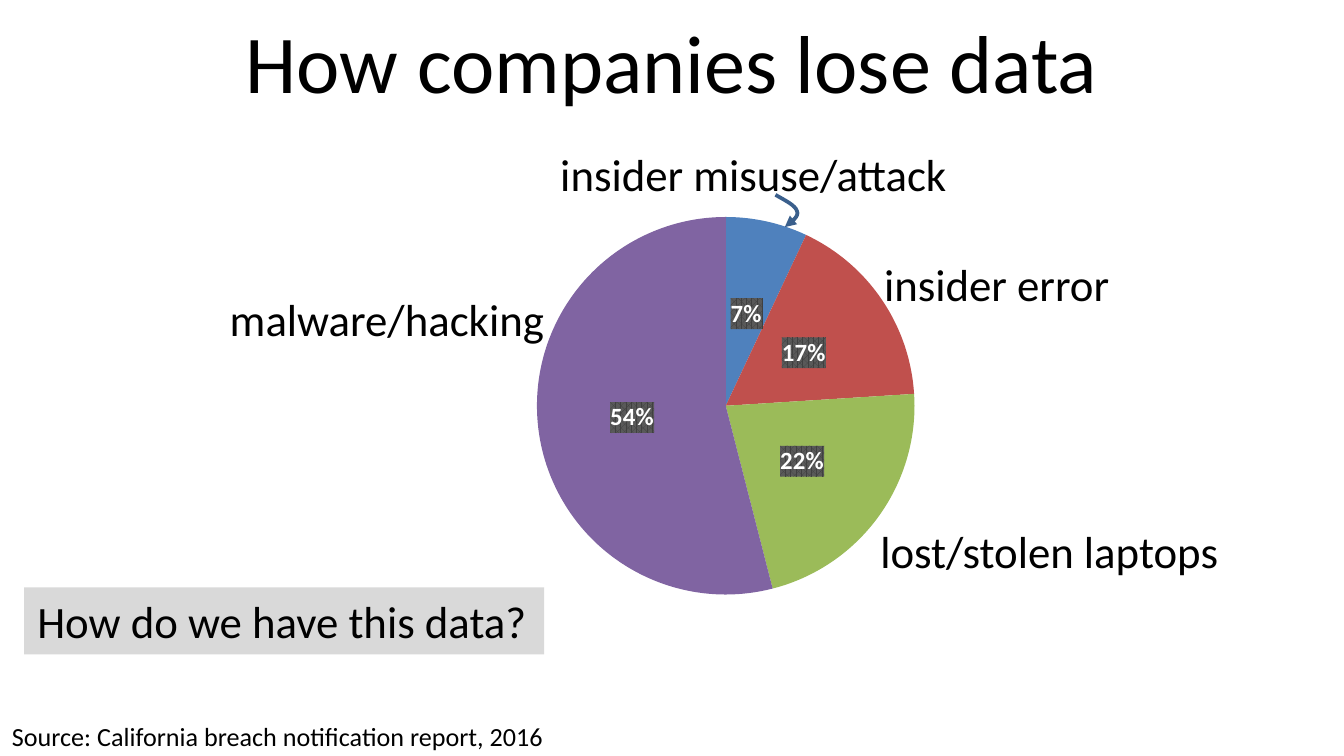
"""Build the slide on how companies lose data, with its pie chart and labels."""
import pptx
import pptx.chart.data
import pptx.dml.color
import pptx.enum.chart
import pptx.enum.text
import pptx.oxml
import pptx.oxml.ns
import pptx.util

Inches = pptx.util.Inches
Pt = pptx.util.Pt
RGBColor = pptx.dml.color.RGBColor

BLACK = RGBColor(0x00, 0x00, 0x00)
WHITE = RGBColor(0xFF, 0xFF, 0xFF)
GREY = RGBColor(0xD9, 0xD9, 0xD9)
NAVY = RGBColor(0x3A, 0x5F, 0x8C)
BLUE = RGBColor(0x4F, 0x81, 0xBD)
RED = RGBColor(0xC0, 0x50, 0x4D)
GREEN = RGBColor(0x9B, 0xBB, 0x59)
PURPLE = RGBColor(0x80, 0x64, 0xA2)


def style(font, size, color=BLACK, bold=False):
    """Give a font its face, size, weight and colour."""
    form = {"name": "Calibri", "size": Pt(size), "bold": bold}
    for key, val in form.items():
        setattr(font, key, val)
    font.color.rgb = color


def parse(tag, body):
    """Make an XML element from its tag and inner markup."""
    names = pptx.oxml.ns.nsdecls("a", "c")
    return pptx.oxml.parse_xml(f"<{tag} {names}>{body}</{tag}>")


deck = pptx.Presentation()
deck.slide_width = Inches(10)
deck.slide_height = Inches(10) * 9 // 16
slide = deck.slides.add_slide(deck.slide_layouts[5])
shapes = slide.shapes

title = shapes.title
place = {"left": 0.5, "top": -0.02, "width": 9, "height": 0.94}
for key, val in place.items():
    setattr(title, key, Inches(val))
frame = title.text_frame
frame.text = "How companies lose data"
frame.vertical_anchor = pptx.enum.text.MSO_ANCHOR.MIDDLE
frame.paragraphs[0].alignment = pptx.enum.text.PP_ALIGN.CENTER
style(frame.paragraphs[0].runs[0].font, 44)

notes = [
    ("Source: California breach notification report, 2016",
     -0.01, 5.31, 4.2, 0.34, 14, None, True),
    ("lost/stolen laptops", 6.55, 3.9, 2.54, 0.33, 24, WHITE, False),
    ("malware/hacking", 1.71, 2.17, 2.36, 0.4, 24, WHITE, False),
    ("insider misuse/attack", 4.07, 1.04, 3.11, 0.5, 24, WHITE, True),
    ("insider error", 6.48, 1.86, 1.9, 0.5, 24, WHITE, True),
    ("How do we have this data?", 0.18, 4.37, 3.87, 0.5, 24, GREY, True),
]
for text, left, top, width, height, size, fill, inset in notes:
    box = shapes.add_textbox(*map(Inches, (left, top, width, height)))
    if fill is not None:
        box.fill.solid()
        box.fill.fore_color.rgb = fill
    frame = box.text_frame
    frame.word_wrap = False
    frame.auto_size = pptx.enum.text.MSO_AUTO_SIZE.SHAPE_TO_FIT_TEXT
    if not inset:
        for side in ("left", "top", "right", "bottom"):
            setattr(frame, f"margin_{side}", 0)
    frame.text = text
    style(frame.paragraphs[0].runs[0].font, size)

data = pptx.chart.data.CategoryChartData()
data.categories = ["1", "2", "3", "4"]
data.add_series("Series 1", (7, 17, 22, 54))
wide, high, disc = 4.36, 3.08, 2.81
chart = shapes.add_chart(
    pptx.enum.chart.XL_CHART_TYPE.PIE,
    Inches(3.22), Inches(1.48), Inches(wide), Inches(high), data,
).chart
chart.has_title = False
chart.has_legend = False
style(chart.font, 10)

plot = chart.plots[0]
plot.vary_by_categories = True
for spot, color in enumerate((BLUE, RED, GREEN, PURPLE)):
    wedge = plot.series[0].points[spot].format.fill
    wedge.solid()
    wedge.fore_color.rgb = color

labels = plot.series[0].data_labels
form = {
    "show_percentage": True,
    "show_value": False,
    "number_format": "0%",
    "number_format_is_linked": False,
    "position": pptx.enum.chart.XL_LABEL_POSITION.CENTER,
}
for key, val in form.items():
    setattr(labels, key, val)
style(labels.font, 13.3, WHITE, True)

area = chart.element.find(".//" + pptx.oxml.ns.qn("c:plotArea"))
old = area.find(pptx.oxml.ns.qn("c:layout"))
if old is not None:
    area.remove(old)
w, h = disc / wide, disc / high
parts = {"x": (1 - w) / 2, "y": (1 - h) / 2, "w": w, "h": h}
modes = '<c:layoutTarget val="inner"/><c:xMode val="edge"/><c:yMode val="edge"/>'
sizes = "".join(f'<c:{key} val="{val:.4f}"/>' for key, val in parts.items())
area.insert(0, parse("c:layout", f"<c:manualLayout>{modes}{sizes}</c:manualLayout>"))

back = parse("c:spPr", '<a:pattFill prst="pct75">'
             '<a:fgClr><a:srgbClr val="404040"/></a:fgClr>'
             '<a:bgClr><a:srgbClr val="595959"/></a:bgClr></a:pattFill>')
area.find(".//" + pptx.oxml.ns.qn("c:txPr")).addprevious(back)

curves = [
    ((5.77, 1.45), (5.84, 1.49), (5.92, 1.53), (5.93, 1.57)),
    ((5.93, 1.57), (5.95, 1.61), (5.89, 1.65), (5.84, 1.69)),
]
steps = 8
dots = []
for curve in curves:
    for step in range(1, steps + 1):
        t = step / steps
        mix = ((1 - t) ** 3, 3 * t * (1 - t) ** 2, 3 * t * t * (1 - t), t ** 3)
        dots.append(tuple(
            Inches(sum(m * dot[axis] for m, dot in zip(mix, curve)))
            for axis in (0, 1)))
start = curves[0][0]
trace = shapes.build_freeform(Inches(start[0]), Inches(start[1]))
trace.add_line_segments(dots, close=False)
arrow = trace.convert_to_shape()
arrow.shadow.inherit = False
arrow.fill.background()
arrow.line.color.rgb = NAVY
arrow.line.width = Pt(2)
edge = arrow.element.find(".//" + pptx.oxml.ns.qn("a:ln"))
head = parse("a:tailEnd", "")
head.set("type", "triangle")
edge.append(head)

deck.save("out.pptx")
